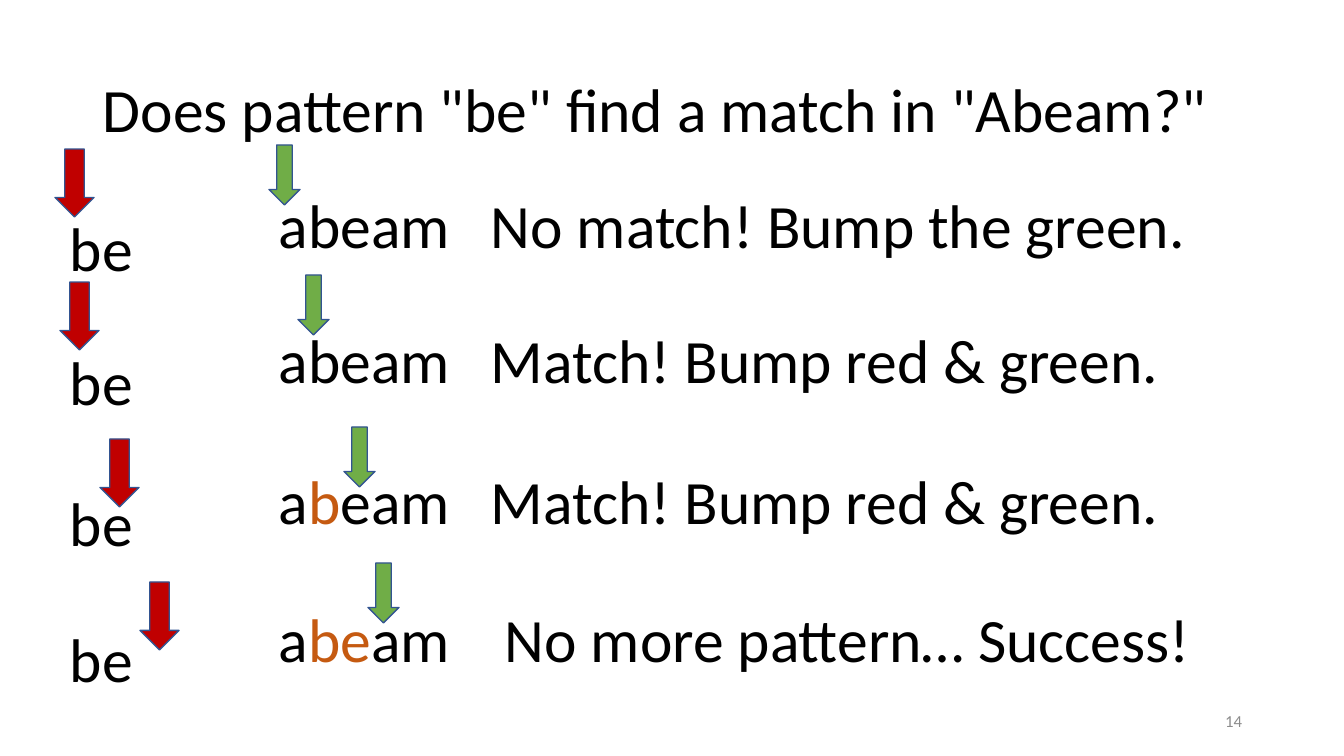
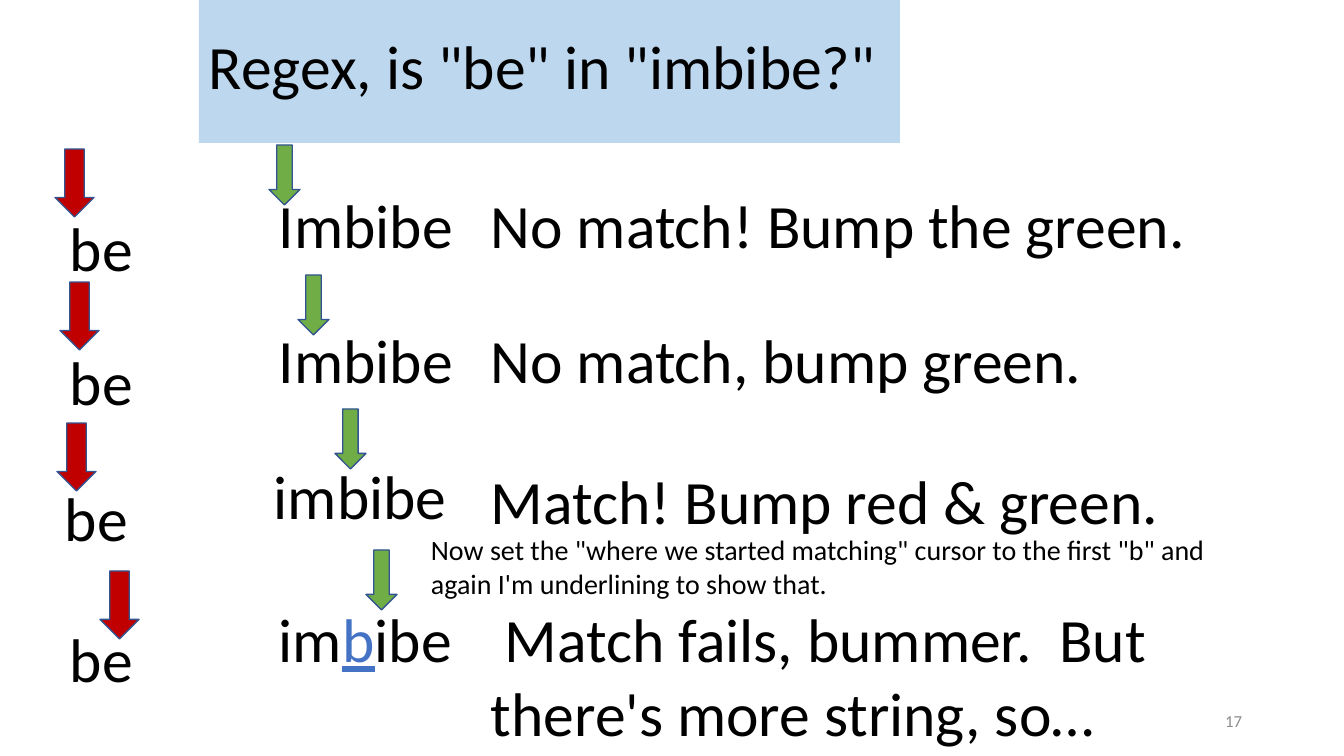
from dataclasses import dataclass
from pptx import Presentation
from pptx.dml.color import RGBColor
from pptx.enum.shapes import MSO_SHAPE
from pptx.enum.text import MSO_ANCHOR, MSO_AUTO_SIZE, PP_ALIGN
from pptx.util import Emu, Pt

PIXELS_PER_INCH = 100.8


def px(pixels):
    return Emu(round(pixels * 914400 / PIXELS_PER_INCH))


@dataclass(frozen=True)
class Theme:
    font: str = "Calibri"
    ink: str = "000000"
    muted: str = "8C8C8C"
    band: str = "BDD7EE"
    red: str = "C00000"
    green: str = "70AD47"
    outline: str = "325491"
    matched: str = "C55A11"
    start: str = "4472C4"
    large: int = 44
    small: int = 20
    footer: int = 12


THEME = Theme()


@dataclass(frozen=True)
class Step:
    red: tuple       # top left of the pattern arrow
    green: tuple     # top left of the string arrow
    string: list     # runs: text, colour, underline
    note: str
    note_width: int = 694
    note_height: int = 85
    shift: int = 0   # moves both words left and up


# Tops of the searched string and of the pattern, row by row
ROWS = [(182, 205), (317, 339), (458, 480), (596, 616)]
PATTERN_LEFT, STRING_LEFT, NOTE_LEFT = 60, 269, 481
RED_SIZE, GREEN_SIZE = (39, 68), (31, 60)


class Slides:
    def __init__(self, theme):
        self.theme = theme
        self.deck = Presentation()
        self.deck.slide_width, self.deck.slide_height = px(1344), px(756)

    def new_page(self):
        self.page = self.deck.slides.add_slide(self.deck.slide_layouts[6])
        self.shapes = self.page.shapes

    def text(self, left, top, width, height, runs, size=None, anchor=None,
             align=PP_ALIGN.LEFT, spacing=1.0):
        """Place a text box; runs are (text, colour, underline)."""
        box = self.shapes.add_textbox(px(left), px(top), px(width), px(height))
        frame = box.text_frame
        frame.word_wrap = True
        if anchor is None:
            frame.auto_size = MSO_AUTO_SIZE.SHAPE_TO_FIT_TEXT
        else:
            frame.vertical_anchor = anchor
        para = frame.paragraphs[0]
        para.alignment, para.line_spacing = align, spacing
        for words, color, underline in runs:
            span = para.add_run()
            span.text = words
            span.font.name = self.theme.font
            span.font.size = Pt(size or self.theme.large)
            span.font.color.rgb = RGBColor.from_string(color)
            if underline:
                span.font.underline = True
        return box

    def plain(self, words, color=None):
        return [(words, color or self.theme.ink, False)]

    def title(self, place, words, fill=None):
        box = self.text(*place, self.plain(words),
                        anchor=MSO_ANCHOR.MIDDLE, spacing=0.9)
        if fill:
            box.fill.solid()
            box.fill.fore_color.rgb = RGBColor.from_string(fill)

    def footer(self, number):
        self.text(950, 701, 302, 40, self.plain(number, self.theme.muted),
                  self.theme.footer, MSO_ANCHOR.MIDDLE, PP_ALIGN.RIGHT)

    def arrow(self, corner, size, color):
        arrow = self.shapes.add_shape(
            MSO_SHAPE.DOWN_ARROW, *(px(value) for value in corner + size))
        arrow.shadow.inherit = False
        arrow.fill.solid()
        arrow.fill.fore_color.rgb = RGBColor.from_string(color)
        arrow.line.color.rgb = RGBColor.from_string(self.theme.outline)
        arrow.line.width = Pt(1)

    def step(self, step, string_top, pattern_top):
        # Arrows and both words move as one group
        self.shapes = self.page.shapes.add_group_shape().shapes
        self.arrow(step.red, RED_SIZE, self.theme.red)
        self.arrow(step.green, GREEN_SIZE, self.theme.green)
        self.text(PATTERN_LEFT - step.shift, pattern_top - step.shift,
                  119, 85, self.plain("be"))
        self.text(STRING_LEFT - step.shift, string_top - step.shift,
                  212, 85, step.string)
        self.shapes = self.page.shapes
        self.text(NOTE_LEFT, string_top, step.note_width, step.note_height,
                  self.plain(step.note))

    def steps(self, steps):
        for step, tops in zip(steps, ROWS):
            self.step(step, *tops)


slides = Slides(THEME)
plain = slides.plain


def marked(before, letters, after, color, underline=False):
    return plain(before) + [(letters, color, underline)] + plain(after)


# Matching "be" in "abeam"
slides.new_page()
slides.title((93, 40, 1159, 146), 'Does pattern "be" find a match in "Abeam?"')
slides.footer("14")
slides.steps([
    Step((55, 149), (269, 145), plain("abeam"),
         "No match! Bump the green.", 753),
    Step((60, 282), (298, 275), plain("abeam"), "Match! Bump red & green."),
    Step((100, 439), (344, 427), marked("a", "b", "eam", THEME.matched),
         "Match! Bump red & green."),
    Step((140, 582), (368, 563), marked("a", "be", "am", THEME.matched),
         " No more pattern… Success!", 851),
])

# Matching "be" in "imbibe"
slides.new_page()
slides.title((199, -3, 701, 146), 'Regex, is "be" in "imbibe?"', THEME.band)
slides.footer("17")
slides.steps([
    Step((55, 149), (269, 145), plain("Imbibe"),
         "No match! Bump the green.", 753),
    Step((60, 282), (298, 275), plain("Imbibe"), "No match, bump green."),
    Step((57, 423), (335, 409), plain("imbibe"),
         "Match! Bump red & green.", shift=5),
    Step((100, 571), (366, 550), marked("im", "b", "ibe", THEME.start, True),
         " Match fails, bummer.  But there's more string, so…",
         note_height=159),
])
slides.text(421, 528, 816, 78, plain(
    'Now set the "where we started matching" cursor to the first "b" and '
    "again I'm underlining to show that."), THEME.small)

slides.deck.save("out.pptx")
